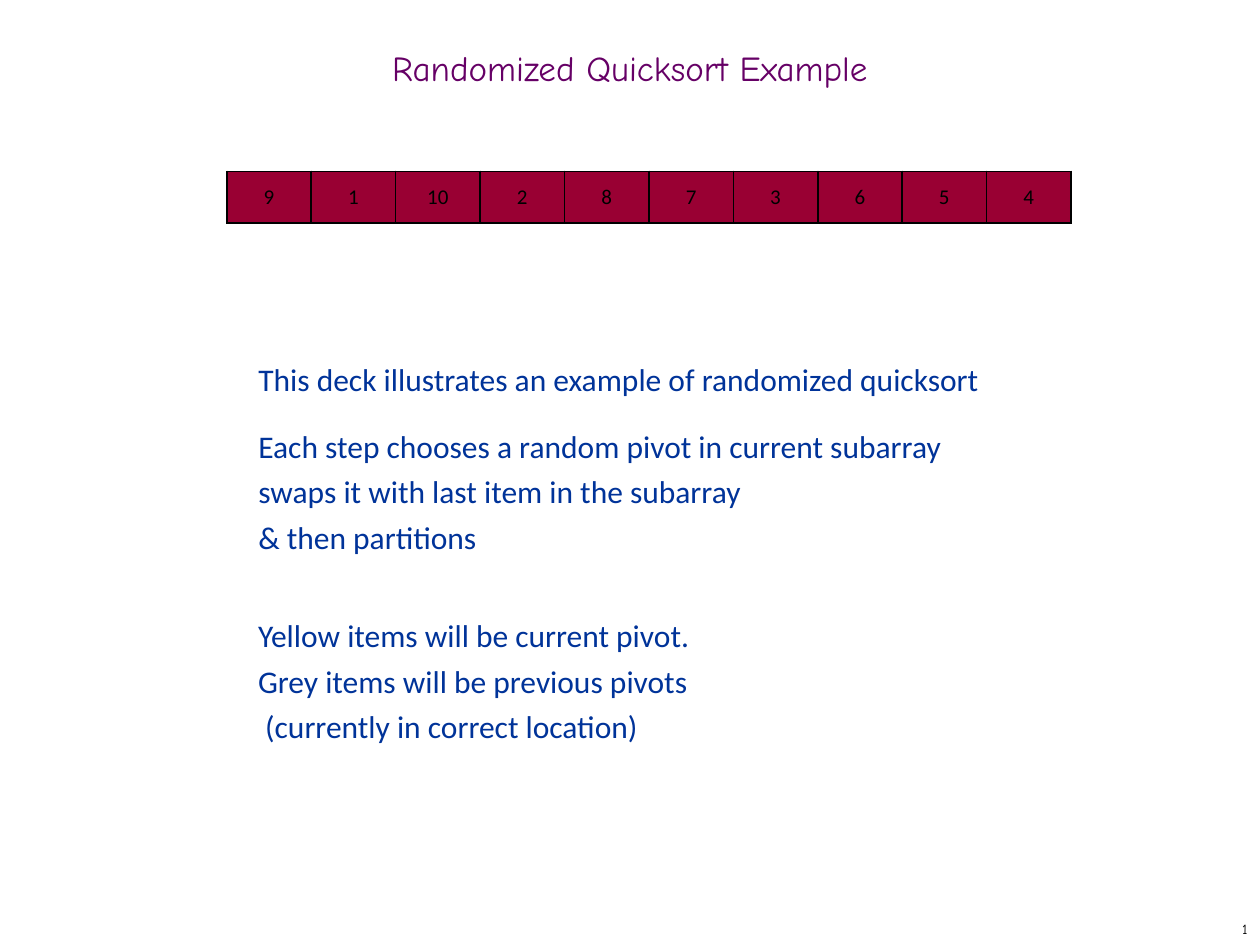
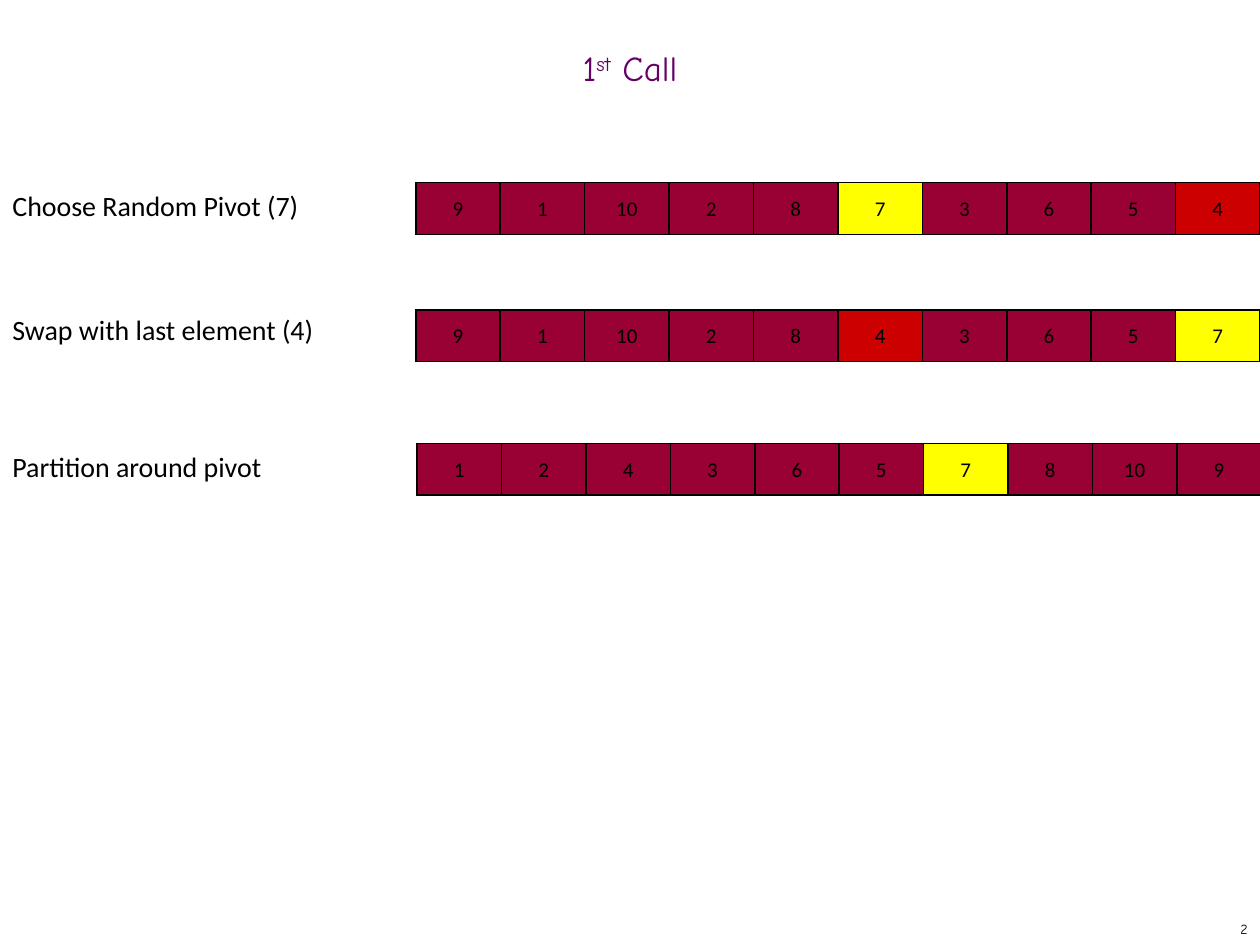
import lxml.etree
import pptx
import pptx.dml.color
import pptx.enum.text
import pptx.oxml
import pptx.oxml.ns
import pptx.util

PX = 9144
PLUM = pptx.dml.color.RGBColor(0x66, 0x00, 0x66)
NAVY = pptx.dml.color.RGBColor(0x00, 0x33, 0x99)
BLACK = pptx.dml.color.RGBColor(0x00, 0x00, 0x00)
MAROON = pptx.dml.color.RGBColor(0x99, 0x00, 0x33)
YELLOW = pptx.dml.color.RGBColor(0xFF, 0xFF, 0x00)
RED = pptx.dml.color.RGBColor(0xCC, 0x00, 0x00)
BODY_FONT = "Calibri"
TITLE_FONT = "Comic Neue"
ITEM_WIDTH = 67
ITEM_HEIGHT = 41
LEFT_ALIGN = pptx.enum.text.PP_ALIGN.LEFT
CENTER = pptx.enum.text.PP_ALIGN.CENTER
MIDDLE = pptx.enum.text.MSO_ANCHOR.MIDDLE


def place(shape, left, top, width, height):
    shape.left, shape.top = left * PX, top * PX
    shape.width, shape.height = width * PX, height * PX
    shape.text_frame.word_wrap = True
    shape.text_frame.auto_size = pptx.enum.text.MSO_AUTO_SIZE.NONE


def style(paragraph, size, color, name=BODY_FONT, alignment=LEFT_ALIGN):
    paragraph.alignment = alignment
    paragraph.font.size = pptx.util.Pt(size)
    paragraph.font.name = name
    paragraph.font.color.rgb = color


presentation = pptx.Presentation()
presentation.slide_width = 1000 * PX
presentation.slide_height = 750 * PX
intro_slide = presentation.slides.add_slide(presentation.slide_layouts[1])
call_slide = presentation.slides.add_slide(presentation.slide_layouts[5])

intro_slide.shapes.title.text_frame.text = "Randomized Quicksort Example"
call_title = call_slide.shapes.title.text_frame.paragraphs[0]
for text, baseline in (("1", 0), ("st", 30000), (" Call", 0)):
    run = call_title.add_run()
    run.text = text
    if baseline:
        run._r.get_or_add_rPr().set("baseline", str(baseline))

for number, slide in enumerate(presentation.slides, 1):
    title = slide.shapes.title
    place(title, 0, 33, 1000, 50)
    title.text_frame.vertical_anchor = MIDDLE
    title.text_frame.paragraphs[0].line_spacing = 0.7
    style(title.text_frame.paragraphs[0], 20, PLUM, TITLE_FONT, CENTER)

    number_box = slide.shapes.add_textbox(0, 0, 0, 0)
    place(number_box, 792, 725, 208, 25)
    number_box.text_frame.word_wrap = False
    number_box.text_frame.vertical_anchor = MIDDLE
    paragraph = number_box.text_frame.paragraphs[0]
    style(paragraph, 8, BLACK, TITLE_FONT, pptx.enum.text.PP_ALIGN.RIGHT)
    field = lxml.etree.SubElement(paragraph._p, pptx.oxml.ns.qn("a:fld"))
    field.set("id", "{B6F15528-21DE-4FAA-801E-634DDDAF4B2B}")
    field.set("type", "slidenum")
    lxml.etree.SubElement(field, pptx.oxml.ns.qn("a:rPr")).set("lang", "en-US")
    lxml.etree.SubElement(field, pptx.oxml.ns.qn("a:t")).text = str(number)

body = intro_slide.placeholders[1]
place(body, 195, 275, 664, 203)
body.text_frame.text = (
    "This deck illustrates an example of randomized quicksort\n"
    "Each step chooses a random pivot in current subarray\v"
    "swaps it with last item in the subarray\v"
    "& then partitions"
)
legend = intro_slide.shapes.add_textbox(0, 0, 0, 0)
place(legend, 195, 478, 664, 143)
legend.text_frame.text = (
    "Yellow items will be current pivot.\v"
    "Grey items will be previous pivots\v"
    " (currently in correct location)"
)
for shape in (body, legend):
    for index, paragraph in enumerate(shape.text_frame.paragraphs):
        properties = paragraph._p.get_or_add_pPr()
        properties.set("marL", "0")
        properties.set("indent", "0")
        paragraph.line_spacing = pptx.util.Pt(26)
        paragraph.space_before = pptx.util.Pt(12 if index else 0)
        lxml.etree.SubElement(properties, pptx.oxml.ns.qn("a:buNone"))
        style(paragraph, 18, NAVY)

arrays = (
    (intro_slide, 180, 136, (9, 1, 10, 2, 8, 7, 3, 6, 5, 4), {}),
    (call_slide, 330, 145, (9, 1, 10, 2, 8, 7, 3, 6, 5, 4), {7: YELLOW, 4: RED}),
    (call_slide, 330, 246, (9, 1, 10, 2, 8, 4, 3, 6, 5, 7), {7: YELLOW, 4: RED}),
    (call_slide, 331, 352, (1, 2, 4, 3, 6, 5, 7, 8, 10, 9), {7: YELLOW}),
)
for slide, left, top, items, highlights in arrays:
    for position, item in enumerate(items):
        table = slide.shapes.add_table(
            1, 1, (left + position * ITEM_WIDTH) * PX, top * PX,
            ITEM_WIDTH * PX, ITEM_HEIGHT * PX,
        ).table
        table.first_row = False
        table.horz_banding = False
        cell = table.cell(0, 0)
        cell.text = str(item)
        cell.vertical_anchor = MIDDLE
        cell.margin_left = cell.margin_right = cell.margin_top = PX
        cell.margin_bottom = 0
        style(cell.text_frame.paragraphs[0], 12, BLACK, alignment=CENTER)
        for side in "LRTB":
            cell._tc.get_or_add_tcPr().append(pptx.oxml.parse_xml(
                f'<a:ln{side} {pptx.oxml.ns.nsdecls("a")} w="12700">'
                f'<a:solidFill><a:srgbClr val="{BLACK}"/></a:solidFill></a:ln{side}>'
            ))
        cell.fill.solid()
        cell.fill.fore_color.rgb = highlights.get(item, MAROON)

steps = (
    (145, "Choose Random Pivot (7)"),
    (243, "Swap with last element (4)"),
    (352, "Partition around pivot"),
)
for top, text in steps:
    label = call_slide.shapes.add_textbox(0, 0, 0, 0)
    place(label, 0, top, 262, 37)
    label.text_frame.text = text
    style(label.text_frame.paragraphs[0], 16, BLACK)

presentation.save("out.pptx")
